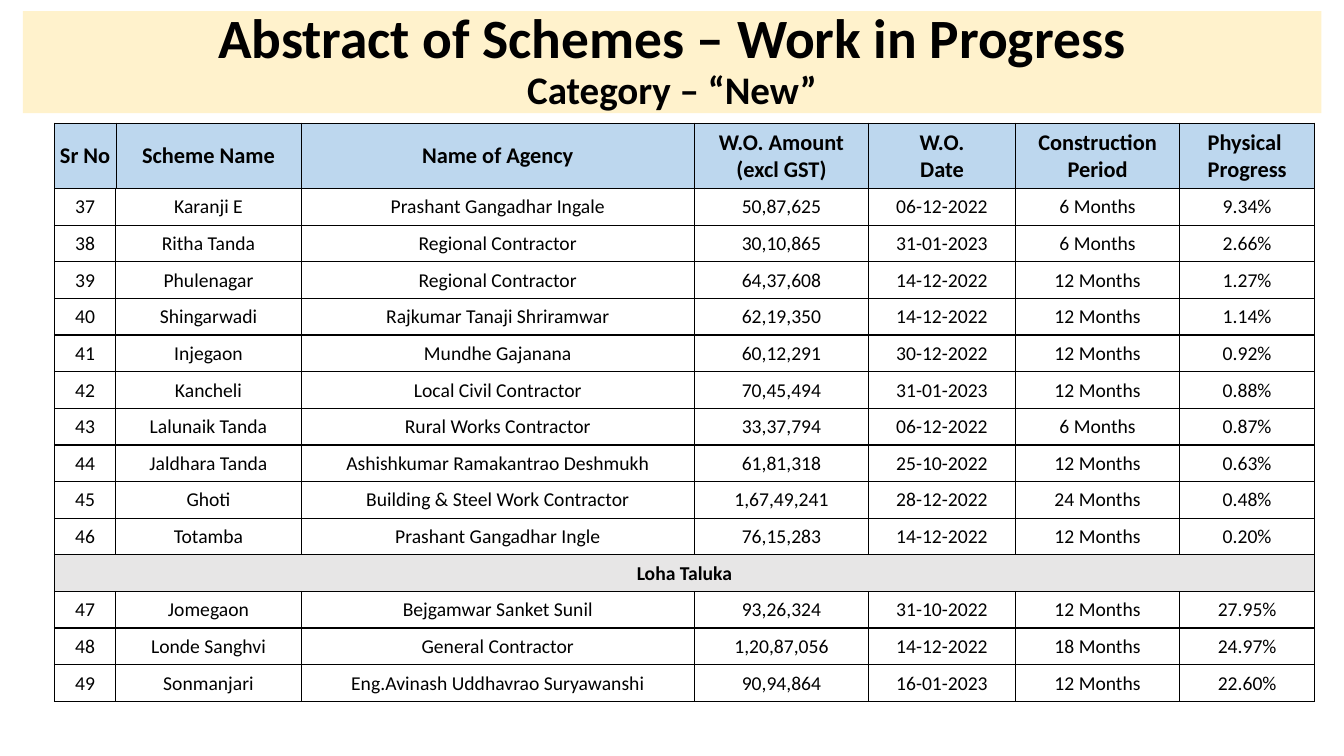
import pptx
import pptx.dml.color
import pptx.enum.shapes
import pptx.enum.text
import pptx.oxml
import pptx.oxml.ns
import pptx.util

Cm = pptx.util.Cm
Pt = pptx.util.Pt
RGBColor = pptx.dml.color.RGBColor

BLACK = RGBColor(0x00, 0x00, 0x00)
WHITE = RGBColor(0xFF, 0xFF, 0xFF)
CREAM = RGBColor(0xFF, 0xF2, 0xCC)
SKY = RGBColor(0xBD, 0xD7, 0xEE)
SILVER = RGBColor(0xE7, 0xE6, 0xE6)

CENTER = pptx.enum.text.PP_ALIGN.CENTER
MIDDLE = pptx.enum.text.MSO_ANCHOR.MIDDLE

TITLE_FONT = {"name": "Calibri", "size": Pt(39.6), "bold": True}
SUBTITLE_FONT = {"name": "Calibri", "size": Pt(27.9), "bold": True}
HEADING_FONT = {"name": "Calibri", "size": Pt(16), "bold": True}
BODY_FONT = {"name": "Calibri", "size": Pt(14), "bold": False}
TALUKA_FONT = {"name": "Calibri", "size": Pt(14), "bold": True}
CELL_FORMAT = {
    "vertical_anchor": MIDDLE,
    "margin_left": Cm(0.02),
    "margin_right": Cm(0.02),
    "margin_top": Cm(0.02),
    "margin_bottom": 0,
}

TABLE_LEFT = Cm(1.37)
COLUMN_WIDTHS = [1.55, 4.67, 9.91, 4.39, 3.7, 4.14, 3.4]
HEADINGS = [
    "Sr No", "Scheme Name", "Name of Agency", "W.O. Amount\v(excl GST)",
    "W.O.\vDate", "Construction\vPeriod", "Physical \nProgress",
]
FIRST_NUMBER = 37
TALUKA = "Loha Taluka"
TALUKA_ROW = 10
SCHEMES = [
    ("Karanji E", "Prashant Gangadhar Ingale", "50,87,625", "06-12-2022", "6 Months", "9.34%"),
    ("Ritha Tanda", "Regional Contractor", "30,10,865", "31-01-2023", "6 Months", "2.66%"),
    ("Phulenagar", "Regional Contractor", "64,37,608", "14-12-2022", "12 Months", "1.27%"),
    ("Shingarwadi", "Rajkumar Tanaji Shriramwar", "62,19,350", "14-12-2022", "12 Months", "1.14%"),
    ("Injegaon", "Mundhe Gajanana", "60,12,291", "30-12-2022", "12 Months", "0.92%"),
    ("Kancheli", "Local Civil Contractor", "70,45,494", "31-01-2023", "12 Months", "0.88%"),
    ("Lalunaik Tanda", "Rural Works Contractor", "33,37,794", "06-12-2022", "6 Months", "0.87%"),
    ("Jaldhara Tanda", "Ashishkumar Ramakantrao Deshmukh", "61,81,318", "25-10-2022", "12 Months", "0.63%"),
    ("Ghoti", "Building & Steel Work Contractor", "1,67,49,241", "28-12-2022", "24 Months", "0.48%"),
    ("Totamba", "Prashant Gangadhar Ingle", "76,15,283", "14-12-2022", "12 Months", "0.20%"),
    ("Jomegaon", "Bejgamwar Sanket Sunil", "93,26,324", "31-10-2022", "12 Months", "27.95%"),
    ("Londe Sanghvi", "General Contractor", "1,20,87,056", "14-12-2022", "18 Months", "24.97%"),
    ("Sonmanjari", "Eng.Avinash Uddhavrao Suryawanshi", "90,94,864", "16-01-2023", "12 Months", "22.60%"),
]


def apply_format(target, values):
    for name, value in values.items():
        setattr(target, name, value)


def apply_font(font, values):
    apply_format(font, values)
    font.color.rgb = BLACK


def add_title(page):
    box = page.shapes.add_shape(
        pptx.enum.shapes.MSO_SHAPE.RECTANGLE, Cm(0.58), Cm(0.28), Cm(32.72), Cm(2.57))
    box.shadow.inherit = False
    box.fill.solid()
    box.fill.fore_color.rgb = CREAM
    box.line.fill.background()
    apply_format(box.text_frame, {
        "word_wrap": True, "vertical_anchor": MIDDLE, "margin_top": 0, "margin_bottom": 0})
    para = box.text_frame.paragraphs[0]
    apply_format(para, {"alignment": CENTER, "line_spacing": 0.9})
    span = para.add_run()
    span.text = "Abstract of Schemes – Work in Progress"
    apply_font(span.font, TITLE_FONT)
    para.add_line_break()
    span = para.add_run()
    span.text = "Category – “New”"
    apply_font(span.font, SUBTITLE_FONT)


def set_borders(cell, edges):
    properties = cell._tc.get_or_add_tcPr()
    for position, (edge, width) in enumerate(edges.items()):
        border = pptx.oxml.parse_xml(
            f'<a:{edge} {pptx.oxml.ns.nsdecls("a")} w="{Pt(width)}"><a:solidFill>'
            f'<a:srgbClr val="{BLACK}"/></a:solidFill></a:{edge}>')
        properties.insert(position, border)


def fill_cell(cell, text, font_values, color, edges):
    apply_format(cell, CELL_FORMAT)
    cell.fill.solid()
    cell.fill.fore_color.rgb = color
    cell.text_frame.text = text
    for para in cell.text_frame.paragraphs:
        para.alignment = CENTER
        for span in para.runs:
            apply_font(span.font, font_values)
    set_borders(cell, edges)


def add_grid(page, top, height, rows, font_values, color, edges):
    width = Cm(sum(COLUMN_WIDTHS))
    frame = page.shapes.add_table(len(rows), len(COLUMN_WIDTHS), TABLE_LEFT, top, width, height)
    grid = frame.table
    apply_format(grid, {"first_row": False, "horz_banding": False})
    for column, column_width in zip(grid.columns, COLUMN_WIDTHS):
        column.width = Cm(column_width)
    for row_index, row in enumerate(rows):
        for column_index, text in enumerate(row):
            fill_cell(grid.cell(row_index, column_index), text, font_values, color, edges)
    return grid


def add_taluka_row(grid):
    last_column = len(COLUMN_WIDTHS) - 1
    edges = dict.fromkeys(["lnL", "lnR", "lnT", "lnB"], 1)
    first = grid.cell(TALUKA_ROW, 0)
    first.merge(grid.cell(TALUKA_ROW, last_column))
    for column_index in range(last_column + 1):
        text = TALUKA if column_index == 0 else ""
        fill_cell(grid.cell(TALUKA_ROW, column_index), text, TALUKA_FONT, SILVER, edges)


def main():
    deck = pptx.Presentation()
    apply_format(deck, {"slide_width": Cm(33.87), "slide_height": Cm(19.05)})
    page = deck.slides.add_slide(deck.slide_layouts[6])
    add_title(page)

    heading_edges = {"lnL": 0.5, "lnR": 0.5, "lnT": 0.5, "lnB": 1}
    add_grid(page, Cm(3.1), Cm(1.65), [HEADINGS], HEADING_FONT, SKY, heading_edges)

    rows = [(str(number), *scheme) for number, scheme in enumerate(SCHEMES, FIRST_NUMBER)]
    rows.insert(TALUKA_ROW, ())
    body_edges = dict.fromkeys(heading_edges, 1)
    grid = add_grid(page, Cm(4.75), Cm(12.93), rows, BODY_FONT, WHITE, body_edges)
    add_taluka_row(grid)
    deck.save("out.pptx")


if __name__ == "__main__":
    main()
